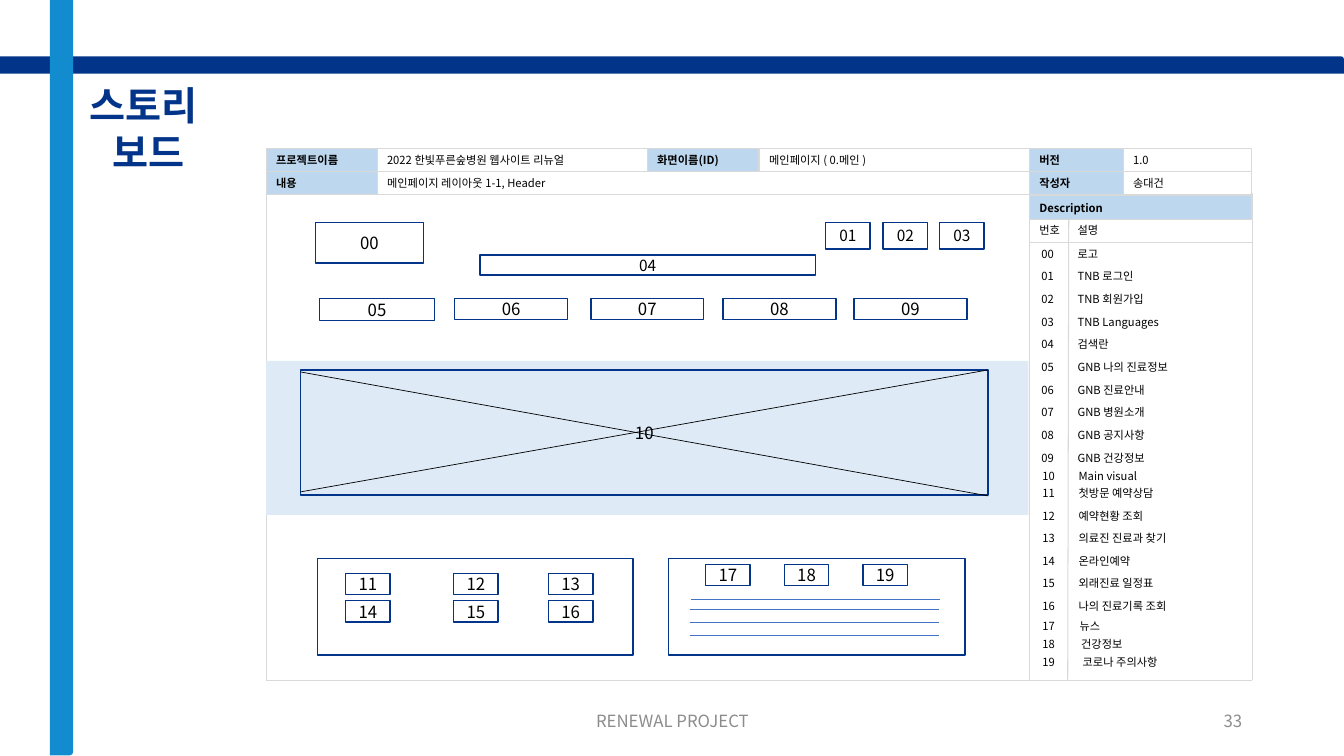
from dataclasses import dataclass

import pptx
import pptx.dml.color
import pptx.enum.shapes
import pptx.enum.text
import pptx.oxml.ns
import pptx.util
from lxml import etree

SHAPE = pptx.enum.shapes.MSO_SHAPE
ANCHOR = pptx.enum.text.MSO_ANCHOR
ALIGN = pptx.enum.text.PP_ALIGN
Inches = pptx.util.Inches
Pt = pptx.util.Pt
qn = pptx.oxml.ns.qn

NAVY, SKY, HEAD, BAND = "023489", "128CCF", "BDD7EE", "DEEBF7"
GRID, GRAY, BLACK, BLUE = "D9D9D9", "8C8C8C", "000000", "4472C4"
KR = "Noto Sans CJK KR"


@dataclass
class Cell:
    text: str
    x: float
    y: float
    w: float
    h: float = 0.23
    head: bool = False


@dataclass
class Frame:
    text: str
    x: float
    y: float
    w: float
    h: float
    size: float = 12


@dataclass
class Rule:
    x1: float
    y1: float
    x2: float
    y2: float
    color: str = GRID
    width: float = 0.75


@dataclass
class NoteGroup:
    first: int
    top: float
    step: float
    num_x: float
    x: float
    drift: float
    labels: list[str]


def rgb(color: str) -> pptx.dml.color.RGBColor:
    return pptx.dml.color.RGBColor.from_string(color)


def write(sp, text: str, *, size: float = 8, font: str = KR, color: str = BLACK,
          bold: bool = False, align=ALIGN.LEFT, anchor=ANCHOR.TOP, grow: bool = True) -> None:
    tf = sp.text_frame
    tf.word_wrap = True
    tf.vertical_anchor = anchor
    if grow:
        tf.auto_size = pptx.enum.text.MSO_AUTO_SIZE.SHAPE_TO_FIT_TEXT
    for i, line in enumerate(text.split("\n")):
        p = tf.add_paragraph() if i else tf.paragraphs[0]
        p.alignment = align
        r = p.add_run()
        r.text = line
        r.font.size = Pt(size)
        r.font.bold = bold
        r.font.name = font
        r.font.color.rgb = rgb(color)
        etree.SubElement(r.font._element, qn("a:ea")).set("typeface", KR)


def add_text(s, text: str, x: float, y: float, w: float, h: float = 0.24, **fmt) -> None:
    sp = s.shapes.add_textbox(Inches(x), Inches(y), Inches(w), Inches(h))
    write(sp, text, **fmt)


def add_box(s, x: float, y: float, w: float, h: float, fill: str = "", line: str = "",
            width: float = 1, kind=SHAPE.RECTANGLE):
    sp = s.shapes.add_shape(kind, Inches(x), Inches(y), Inches(w), Inches(h))
    sp.shadow.inherit = False
    if fill:
        sp.fill.solid()
        sp.fill.fore_color.rgb = rgb(fill)
    else:
        sp.fill.background()
    if line:
        sp.line.color.rgb = rgb(line)
        sp.line.width = Pt(width)
    else:
        sp.line.fill.background()
    return sp


def add_cell(s, c: Cell) -> None:
    sp = add_box(s, c.x, c.y, c.w, c.h, HEAD if c.head else "", GRID, 0.75)
    write(sp, c.text, bold=c.head, anchor=ANCHOR.MIDDLE if c.head else ANCHOR.TOP)


def add_frame(s, f: Frame) -> None:
    sp = add_box(s, f.x, f.y, f.w, f.h, line=NAVY)
    if f.text:
        write(sp, f.text, size=f.size, align=ALIGN.CENTER, anchor=ANCHOR.MIDDLE, grow=False)


def add_rule(s, rule: Rule) -> None:
    cx = s.shapes.add_connector(pptx.enum.shapes.MSO_CONNECTOR.STRAIGHT, Inches(rule.x1),
                                Inches(rule.y1), Inches(rule.x2), Inches(rule.y2))
    cx.line.color.rgb = rgb(rule.color)
    cx.line.width = Pt(rule.width)
    etree.SubElement(cx._element.spPr, qn("a:effectLst"))


def add_notes(s, g: NoteGroup) -> None:
    for i, label in enumerate(g.labels):
        y = g.top + i * g.step
        add_text(s, f"{g.first + i:02d}", g.num_x, y, 0.45)
        add_text(s, label, g.x + i * g.drift, y, 1.83)


CELLS = [
    Cell("프로젝트이름", 2.64, 1.47, 1.1, head=True),
    Cell("내용", 2.64, 1.7, 1.1, head=True),
    Cell("2022 한빛푸른숲병원 웹사이트 리뉴얼", 3.74, 1.47, 2.69),
    Cell("메인페이지 레이아웃 1-1, Header", 3.74, 1.7, 6.48),
    Cell("버전", 10.21, 1.47, 0.93, head=True),
    Cell("작성자", 10.21, 1.7, 0.93, head=True),
    Cell("1.0", 11.14, 1.47, 1.27),
    Cell("송대건", 11.14, 1.7, 1.27),
    Cell("화면이름(ID)", 6.42, 1.47, 1.1, head=True),
    Cell("메인페이지 ( 0.메인 )", 7.53, 1.47, 2.68),
    Cell("Description", 10.21, 1.94, 2.2, 0.24, head=True),
]
NOTES = [
    NoteGroup(0, 2.4, 0.225, 10.23, 10.59, 0, [
        "로고", "TNB 로그인", "TNB 회원가입", "TNB Languages", "검색란", "GNB 나의 진료정보",
        "GNB 진료안내", "GNB 병원소개", "GNB 공지사항", "GNB 건강정보"]),
    NoteGroup(10, 4.61, 0, 10.24, 10.6, 0, ["Main visual"]),
    NoteGroup(11, 4.78, 0.223, 10.24, 10.6, 0, [
        "첫방문 예약상담", "예약현황 조회", "의료진 진료과 찾기", "온라인예약",
        "외래진료 일정표", "나의 진료기록 조회"]),
    NoteGroup(17, 6.09, 0.18, 10.24, 10.61, 0.015, ["뉴스", "건강정보", "코로나 주의사항"]),
]
TABLE_RULES = [
    Rule(10.21, 1.58, 10.21, 6.75), Rule(10.6, 2.17, 10.59, 6.75),
    Rule(12.42, 1.91, 12.42, 6.75), Rule(12.42, 6.75, 2.64, 6.75),
    Rule(2.64, 1.68, 2.64, 6.75), Rule(12.42, 2.41, 10.21, 2.41),
]
FRAMES = [
    Frame("00", 3.13, 2.21, 1.07, 0.4),
    Frame("04", 4.76, 2.53, 3.33, 0.2, 11),
    Frame("05", 3.17, 2.96, 1.14, 0.22),
    Frame("10", 2.98, 3.67, 6.82, 1.24),
    Frame("", 3.15, 5.54, 3.13, 0.96),
    Frame("", 6.63, 5.54, 2.94, 0.96),
]
FRAMES += [Frame(f"{1 + i:02d}", x, 2.21, 0.44, 0.26, 11) for i, x in enumerate((8.19, 8.76, 9.32))]
FRAMES += [Frame(f"{6 + i:02d}", x, 2.96, 1.12, 0.21)
           for i, x in enumerate((4.51, 5.86, 7.17, 8.47))]
FRAMES += [Frame(str(11 + 3 * row + col), x, 5.69 + 0.27 * row, 0.44, 0.21)
           for row in range(2) for col, x in enumerate((3.43, 4.5, 5.44))]
FRAMES += [Frame(str(17 + i), 7 + 0.78 * i, 5.6, 0.44, 0.21) for i in range(3)]
FRAME_RULES = [
    Rule(2.98, 4.88, 9.8, 3.67, BLACK, 0.5), Rule(2.98, 3.69, 9.8, 4.92, BLACK, 0.5),
    Rule(6.85, 5.95, 9.32, 5.95, BLUE, 0.5),
]
FRAME_RULES += [Rule(6.84, y, 9.31, y, BLUE, 0.5) for y in (6.05, 6.17, 6.3)]


def main() -> None:
    prs = pptx.Presentation()
    prs.slide_width, prs.slide_height = Inches(13.33), Inches(7.5)
    s = prs.slides.add_slide(prs.slide_layouts[6])
    add_box(s, 0, 0.56, 13.33, 0.17, NAVY, kind=SHAPE.ROUND_1_RECTANGLE)
    add_box(s, -3.14, 3.63, 7.5, 0.23, SKY, kind=SHAPE.ROUND_1_RECTANGLE).rotation = 90
    footer = dict(size=12, color=GRAY, anchor=ANCHOR.MIDDLE, grow=False)
    add_text(s, "RENEWAL PROJECT", 4.42, 6.95, 4.5, 0.4, align=ALIGN.CENTER, **footer)
    add_text(s, "33", 9.42, 6.95, 3, 0.4, align=ALIGN.RIGHT, **footer)
    add_text(s, "스토리 \n보드", 0.45, 0.76, 2.04, 1.04, size=28, font="Noto Sans",
             color=NAVY, bold=True, align=ALIGN.CENTER)
    for cell in CELLS:
        add_cell(s, cell)
    add_text(s, "설명", 10.59, 2.17, 1.83)
    add_text(s, "번호", 10.21, 2.17, 0.45)
    for rule in TABLE_RULES:
        add_rule(s, rule)
    for group in NOTES:
        add_notes(s, group)
    add_box(s, 2.64, 3.58, 7.56, 1.53, BAND)
    for frame in FRAMES:
        add_frame(s, frame)
    for rule in FRAME_RULES:
        add_rule(s, rule)
    prs.save("out.pptx")


if __name__ == "__main__":
    main()
